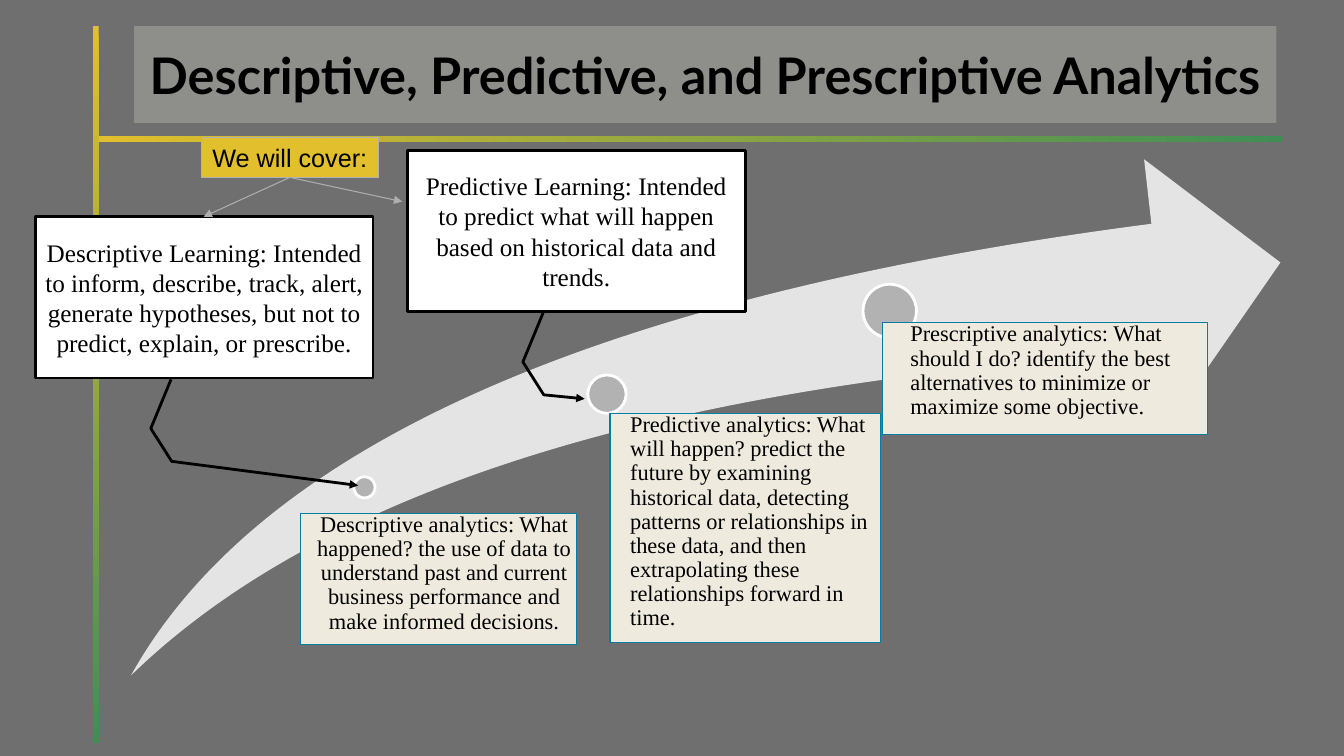
from lxml import etree
from pptx import Presentation
from pptx.dml.color import RGBColor
from pptx.enum.shapes import MSO_CONNECTOR, MSO_SHAPE
from pptx.enum.text import MSO_ANCHOR, MSO_AUTO_SIZE, PP_ALIGN
from pptx.oxml.ns import qn
from pptx.util import Inches, Pt

RECTANGLE = MSO_SHAPE.RECTANGLE
OVAL = MSO_SHAPE.OVAL
CALLOUT = MSO_SHAPE.LINE_CALLOUT_3
SWOOSH = MSO_SHAPE.SWOOSH_ARROW
STRAIGHT = MSO_CONNECTOR.STRAIGHT
TOP, MIDDLE = MSO_ANCHOR.TOP, MSO_ANCHOR.MIDDLE
LEFT, CENTER = PP_ALIGN.LEFT, PP_ALIGN.CENTER
GROW = MSO_AUTO_SIZE.SHAPE_TO_FIT_TEXT

SERIF = "Times New Roman"
BLACK, WHITE, CREAM, GOLD, GREEN = "000000", "FFFFFF", "EEEBDE", "E2BF2C", "408E56"
BACKGROUND, PALE_GRAY, DOT_GRAY, ARROW_GRAY, TEAL = "6F6F6F", "E4E4E4", "B2B2B2", "AEAEAE", "007FA3"

# dot left, top, diameter; card left, top, width, height; left inset; alignment; text
STAGES = [
    ((3.51, 4.73, 0.21), (2.98, 5.09, 2.74, 1.3), 0.11, CENTER,
     "Descriptive analytics: What happened? the use of data to understand past "
     "and current business performance and make informed decisions."),
    ((5.83, 3.72, 0.38), (6.05, 4.1, 2.68, 2.27), 0.2, LEFT,
     "Predictive analytics: What will happen? predict the future by examining "
     "historical data, detecting patterns or relationships in these data, and then "
     "extrapolating these relationships forward in time."),
    ((8.56, 2.82, 0.53), (8.75, 3.2, 3.23, 1.11), 0.28, LEFT,
     "Prescriptive analytics: What should I do? identify the best alternatives "
     "to minimize or maximize some objective."),
]

# left, top; end of the leader line as shares of height and width; text
CALLOUTS = [
    (0.35, 2.15, (1.667, 0.956),
     "Descriptive Learning: Intended to inform, describe, track, alert, "
     "generate hypotheses, but not to predict, explain, or prescribe."),
    (4.04, 1.49, (1.542, 0.525),
     "Predictive Learning: Intended to predict what will happen based on "
     "historical data and trends."),
]
LEADER_START = (1.009, 0.402, 1.313, 0.342, 1.517, 0.404)


def color(value):
    return RGBColor.from_string(value)


def add_shape(slide, kind, box, fill, line=None, line_width=0.75):
    shape = slide.shapes.add_shape(kind, *map(Inches, box))
    shape.shadow.inherit = False
    shape.fill.solid()
    shape.fill.fore_color.rgb = color(fill)
    if line:
        shape.line.color.rgb = color(line)
        shape.line.width = Pt(line_width)
    else:
        shape.line.fill.background()
    return shape


def write(shape, text, size, font=SERIF, align=CENTER, anchor=MIDDLE, bold=False):
    frame = shape.text_frame
    frame.text = text
    frame.word_wrap = True
    frame.vertical_anchor = anchor
    paragraph = frame.paragraphs[0]
    paragraph.alignment = align
    run_font = paragraph.runs[0].font
    run_font.name = font
    run_font.size = Pt(size)
    run_font.bold = bold
    run_font.color.rgb = color(BLACK)


def add_gradient_bar(slide, box, angle):
    bar = add_shape(slide, RECTANGLE, box, GOLD)
    bar.fill.gradient()
    bar.fill.gradient_angle = angle
    for stop, value in zip(bar.fill.gradient_stops, (GOLD, GREEN)):
        stop.color.rgb = color(value)


def add_arrowhead(shape):
    line = shape.line._get_or_add_ln()
    etree.SubElement(line, qn("a:tailEnd"), type="triangle")


def add_title(slide):
    title = add_shape(slide, RECTANGLE, (1.33, 0.26, 11.33, 0.96), CREAM)
    fill_color = title.fill._xPr.find(qn("a:solidFill"))[0]
    etree.SubElement(fill_color, qn("a:alpha"), val="25000")
    write(title, "Descriptive, Predictive, and Prescriptive Analytics", 36, "Lato", bold=True)


def add_stage(slide, dot, card_box, inset, align, text):
    left, top, diameter = dot
    add_shape(slide, OVAL, (left, top, diameter, diameter), DOT_GRAY, WHITE, 2)
    card = add_shape(slide, RECTANGLE, card_box, CREAM, TEAL)
    write(card, text, 16, align=align, anchor=TOP)
    frame = card.text_frame
    frame.margin_left = Inches(inset)
    frame.margin_top = frame.margin_right = frame.margin_bottom = 0
    frame.paragraphs[0].line_spacing = 0.9


def add_callout(slide, left, top, leader_end, text):
    callout = add_shape(slide, CALLOUT, (left, top, 3.35, 1.6), WHITE, BLACK, 2)
    for index, value in enumerate(LEADER_START + leader_end):
        callout.adjustments[index] = value
    add_arrowhead(callout)
    write(callout, text, 18)


def add_cover_label(slide):
    label = add_shape(slide, RECTANGLE, (2, 1.36, 1.75, 0.4), GOLD, DOT_GRAY)
    write(label, "We will cover:", 18, "Arial")
    label.text_frame.word_wrap = False
    label.text_frame.auto_size = GROW
    return label


def add_arrow(slide, label, end_x, end_y):
    """Draw an arrow from the bottom of the label."""
    arrow = slide.shapes.add_connector(STRAIGHT, 0, 0, Inches(end_x), Inches(end_y))
    arrow.begin_connect(label, 2)
    arrow.line.color.rgb = color(ARROW_GRAY)
    arrow.line.width = Pt(0.75)
    add_arrowhead(arrow)
    etree.SubElement(arrow._element.spPr, qn("a:effectLst"))


def main():
    presentation = Presentation()
    presentation.slide_width = Inches(13.33)
    presentation.slide_height = Inches(7.5)
    slide = presentation.slides.add_slide(presentation.slide_layouts[6])
    slide.background.fill.solid()
    slide.background.fill.fore_color.rgb = color(BACKGROUND)

    add_gradient_bar(slide, (0.92, 0.26, 0.06, 7.11), 270)
    add_gradient_bar(slide, (0.98, 1.35, 11.74, 0.06), 0)
    add_title(slide)

    swoosh = add_shape(slide, SWOOSH, (1.3, 1.58, 11.4, 5.12), PALE_GRAY)
    swoosh.adjustments[0] = swoosh.adjustments[1] = 0.25
    for stage in STAGES:
        add_stage(slide, *stage)
    for callout in CALLOUTS:
        add_callout(slide, *callout)

    label = add_cover_label(slide)
    for end in ((2.02, 2.15), (3.99, 2)):
        add_arrow(slide, label, *end)

    presentation.save("out.pptx")


if __name__ == "__main__":
    main()
